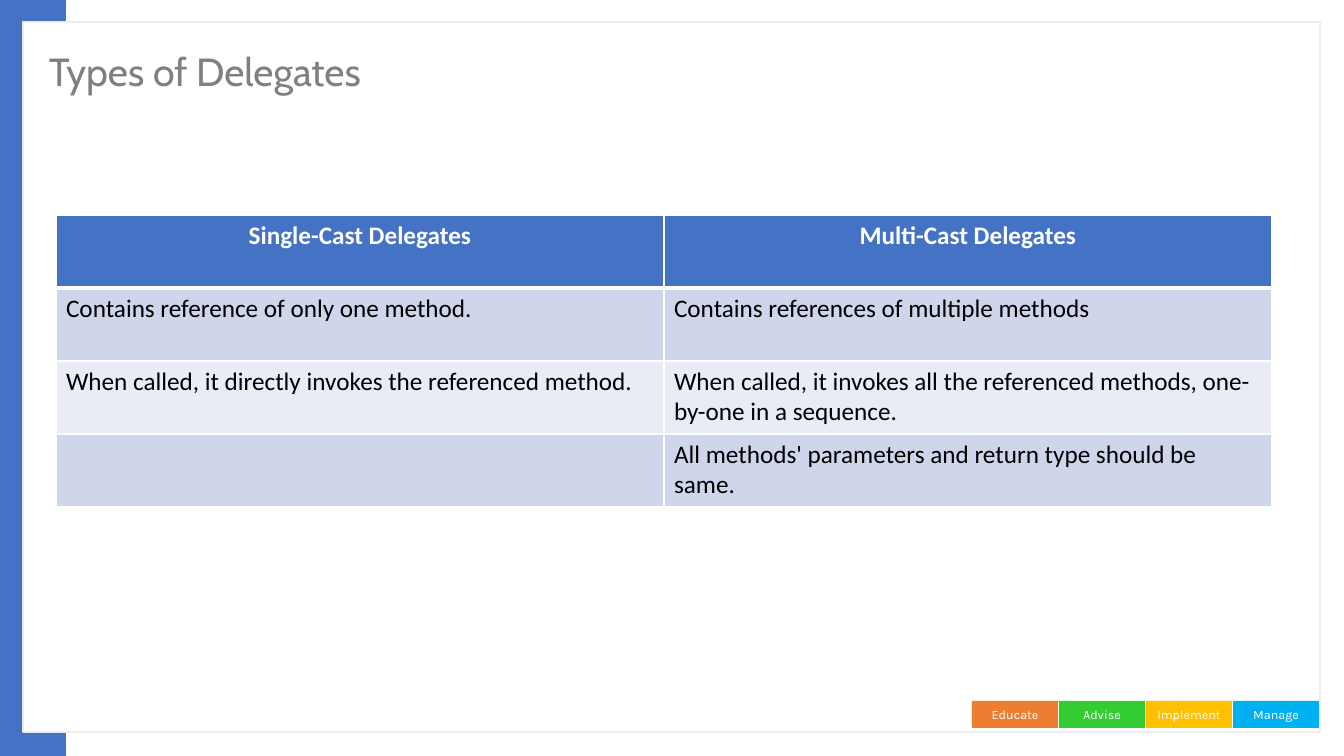
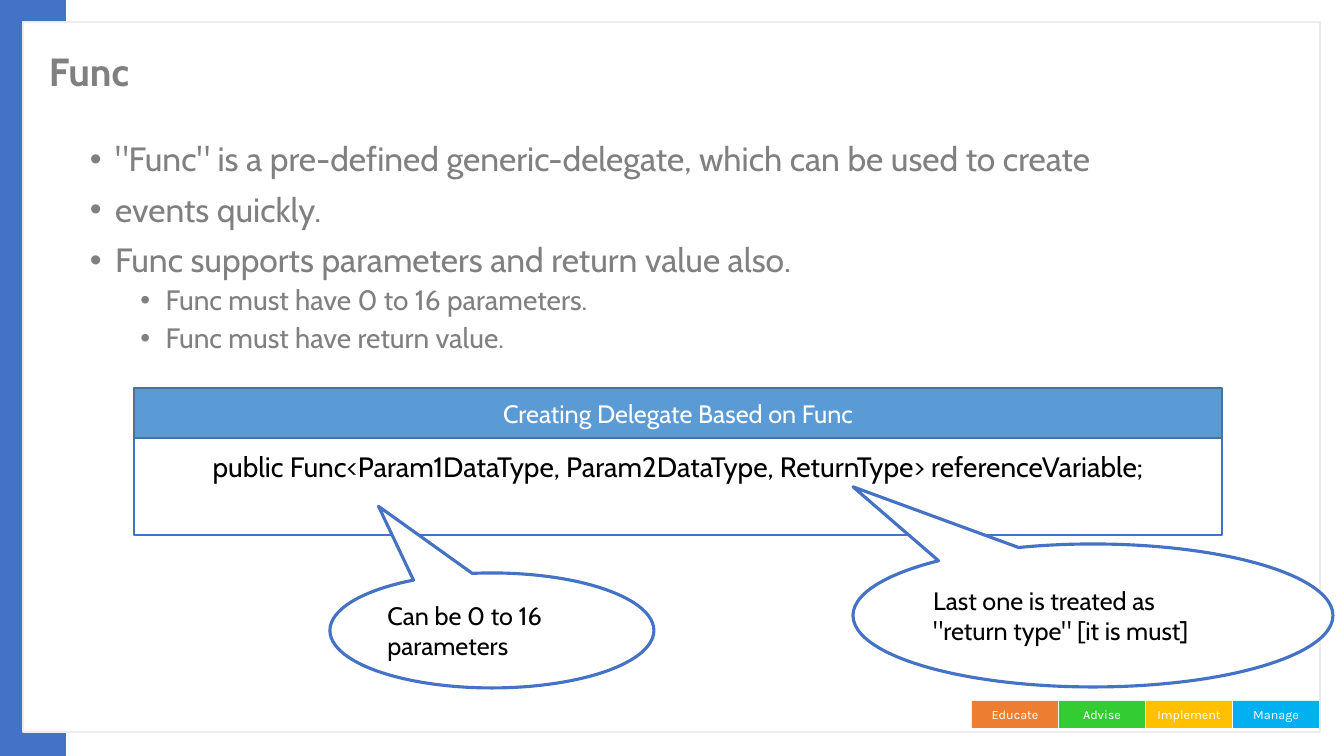
import pptx
import pptx.util
import pptx.dml.color
import pptx.enum.shapes
import pptx.enum.text
import pptx.oxml
import pptx.oxml.ns

RGB = pptx.dml.color.RGBColor
SHAPES = pptx.enum.shapes.MSO_SHAPE
ALIGN = pptx.enum.text.PP_ALIGN
MIDDLE = pptx.enum.text.MSO_ANCHOR.MIDDLE
Pt = pptx.util.Pt

SLIDE_W, SLIDE_H = 1344, 756
SCALE = 12192000 / SLIDE_W  # EMU per px

WHITE = RGB(0xFF, 0xFF, 0xFF)
BLACK = RGB(0x00, 0x00, 0x00)
GREY = RGB(0x80, 0x80, 0x80)
BLUE = RGB(0x44, 0x72, 0xC4)
FRAME_GREY = RGB(0xED, 0xED, 0xED)
SKY = RGB(0x00, 0xB0, 0xF0)
AMBER = RGB(0xFF, 0xC0, 0x00)
GREEN = RGB(0x33, 0xCC, 0x33)
ORANGE = RGB(0xED, 0x7D, 0x31)
CAPTION_BLUE = RGB(0x5B, 0x9B, 0xD5)
CAPTION_LINE = RGB(0x43, 0x73, 0x9E)
BAND_DARK = RGB(0xCF, 0xD5, 0xEA)
BAND_LIGHT = RGB(0xE9, 0xEB, 0xF5)

FOOTER = [("Educate", ORANGE), ("Advise", GREEN), ("Implement", AMBER), ("Manage", SKY)]


def px(*lengths):
    return [round(length * SCALE) for length in lengths]


def add_box(slide, place, fill, line=None, weight=1, kind=SHAPES.RECTANGLE,
            lines=(), size=18, color=BLACK, font="Cabin", align=ALIGN.CENTER):
    """Add a filled preset shape, with one paragraph for each of the lines."""
    box = slide.shapes.add_shape(kind, *px(*place))
    box.shadow.inherit = False
    box.fill.solid()
    box.fill.fore_color.rgb = fill
    if line is None:
        box.line.fill.background()
    else:
        box.line.color.rgb = line
        box.line.width = Pt(weight)
    frame = box.text_frame
    frame.vertical_anchor = MIDDLE
    for i, text in enumerate(lines):
        para = frame.add_paragraph() if i else frame.paragraphs[0]
        para.text = text
        para.alignment = align
        para.font.size = Pt(size)
        para.font.name = font
        para.font.color.rgb = color
    return box


prs = pptx.Presentation()
prs.slide_width, prs.slide_height = px(SLIDE_W, SLIDE_H)

# Shared frame, footer and title
slides = []
for title, bold in [("Types of Delegates", False), ("Func", True)]:
    slide = prs.slides.add_slide(prs.slide_layouts[6])
    slides.append(slide)
    add_box(slide, (0, 0, 66, SLIDE_H), BLUE)
    add_box(slide, (23, 22, 1297, 710), WHITE, FRAME_GREY)
    for i, (label, color) in enumerate(FOOTER):
        add_box(slide, (972 + 87 * i, 701, 86, 27), color,
                lines=[label], size=9, color=WHITE, font="Karla")
    heading = slide.shapes.add_textbox(*px(39, 30, 1040, 88)).text_frame
    heading.word_wrap = True
    heading.vertical_anchor = MIDDLE
    para = heading.paragraphs[0]
    para.text = title
    para.line_spacing = 0.9
    para.font.size = Pt(28)
    para.font.name = "Cabin"
    para.font.bold = bold
    para.font.color.rgb = GREY

types_slide, func_slide = slides

# Types of Delegates: comparison table
comparison = [
    ("Single-Cast Delegates", "Multi-Cast Delegates"),
    ("Contains reference of only one method.", "Contains references of multiple methods"),
    ("When called, it directly invokes the referenced method.",
     "When called, it invokes all the referenced methods, one-by-one in a sequence."),
    ("", "All methods' parameters and return type should be same."),
]
table = types_slide.shapes.add_table(len(comparison), 2, *px(56, 215, 1216, 292)).table
for r, texts in enumerate(comparison):
    is_header = r == 0
    for c, text in enumerate(texts):
        cell = table.cell(r, c)
        cell.fill.solid()
        cell.fill.fore_color.rgb = BLUE if is_header else BAND_DARK if r % 2 else BAND_LIGHT
        props = cell._tc.get_or_add_tcPr()
        for i, side in enumerate(("lnL", "lnR", "lnT", "lnB")):
            thick = (is_header and side == "lnB") or (r == 1 and side == "lnT")
            props.insert(i, pptx.oxml.parse_xml(
                f'<a:{side} {pptx.oxml.ns.nsdecls("a")} w="{Pt(3 if thick else 1)}">'
                f'<a:solidFill><a:srgbClr val="{WHITE}"/></a:solidFill></a:{side}>'))
        para = cell.text_frame.paragraphs[0]
        if text:
            para.text = text
        para.alignment = ALIGN.CENTER if is_header else ALIGN.LEFT
        para.font.size = Pt(18)
        para.font.name = "Calibri"
        para.font.bold = is_header
        para.font.color.rgb = WHITE if is_header else BLACK

# Func: bullets
points = [
    (0, '"Func" is a pre-defined generic-delegate, which can be used to create'),
    (0, "events quickly."),
    (0, "Func supports parameters and return value also."),
    (1, "Func must have 0 to 16 parameters."),
    (1, "Func must have return value."),
]
body = func_slide.shapes.add_textbox(*px(80, 138, 1226, 553)).text_frame
body.word_wrap = True
for i, (level, text) in enumerate(points):
    para = body.add_paragraph() if i else body.paragraphs[0]
    para.text = text
    para.level = level
    props = para._p.get_or_add_pPr()
    props.set("marL", str(Pt(18 + 36 * level)))
    props.set("indent", str(-Pt(18)))
    for bullet in ('buFont {} typeface="Arial"', 'buChar {} char="•"'):
        props.append(pptx.oxml.parse_xml(
            f'<a:{bullet.format(pptx.oxml.ns.nsdecls("a"))}/>'))
    para.line_spacing = 0.9
    if i:
        para.space_before = Pt(5 if level else 10)
    para.font.size = Pt(20 if level else 24)
    para.font.name = "Cabin"
    para.font.color.rgb = GREY

# Func: declaration with its caption and callouts
add_box(func_slide, (134, 397, 1088, 138), WHITE, BLUE, 1.5, size=20,
        lines=["public Func<Param1DataType, Param2DataType, ReturnType> referenceVariable;"])
add_box(func_slide, (134, 388, 1088, 50), CAPTION_BLUE, CAPTION_LINE, 1.5,
        lines=["Creating Delegate Based on Func"], color=WHITE)
callouts = [
    ((330, 573, 324, 115), (-0.35, -1.08), ["Can be 0 to 16", "parameters"]),
    ((853, 544, 480, 143), (-0.5, -0.9),
     ["Last one is treated as", '"return type" [it is must]']),
]
for place, tip, lines in callouts:
    callout = add_box(func_slide, place, WHITE, BLUE, 2.25, SHAPES.OVAL_CALLOUT,
                      lines, align=ALIGN.LEFT)
    callout.adjustments[0], callout.adjustments[1] = tip

prs.save("out.pptx")
